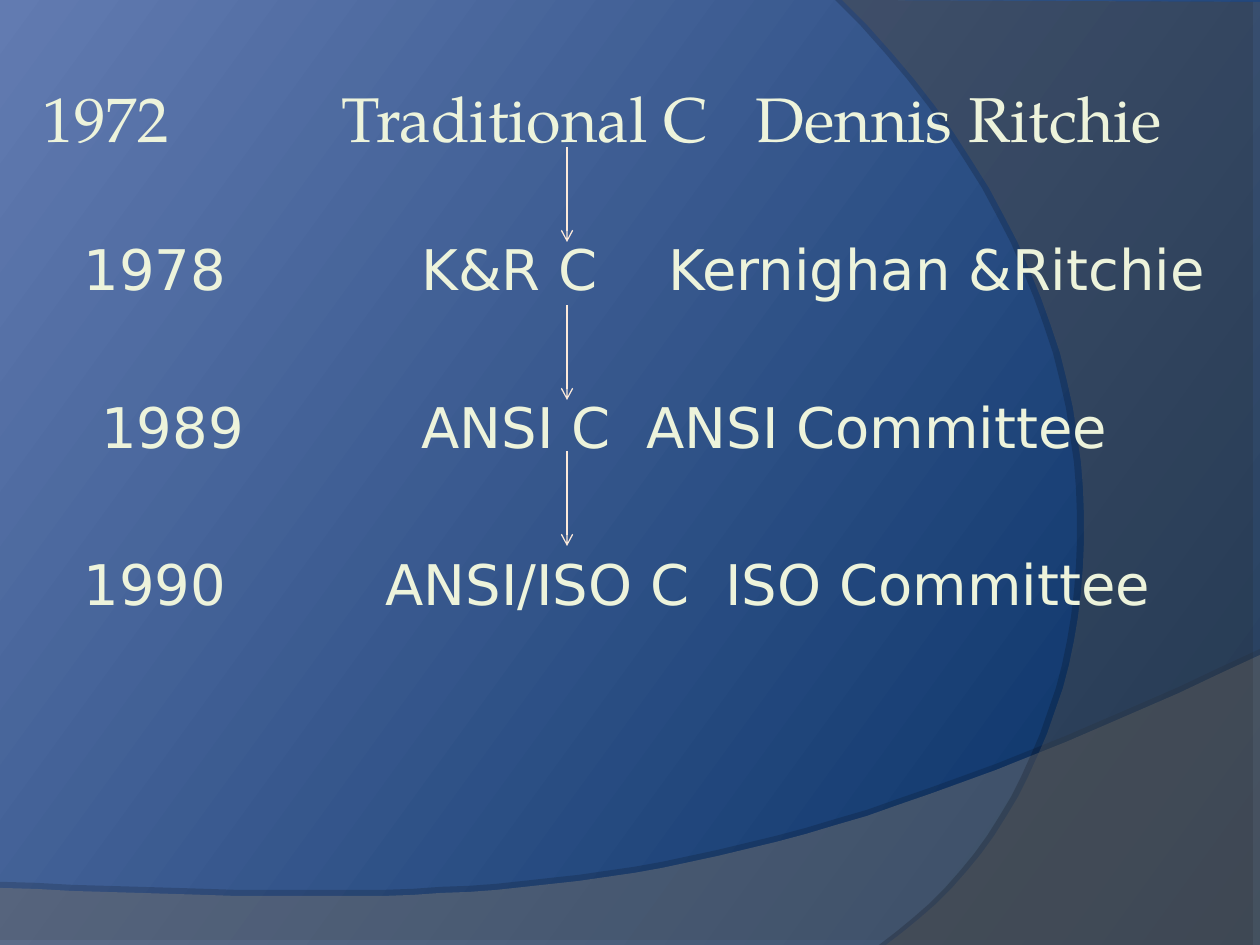
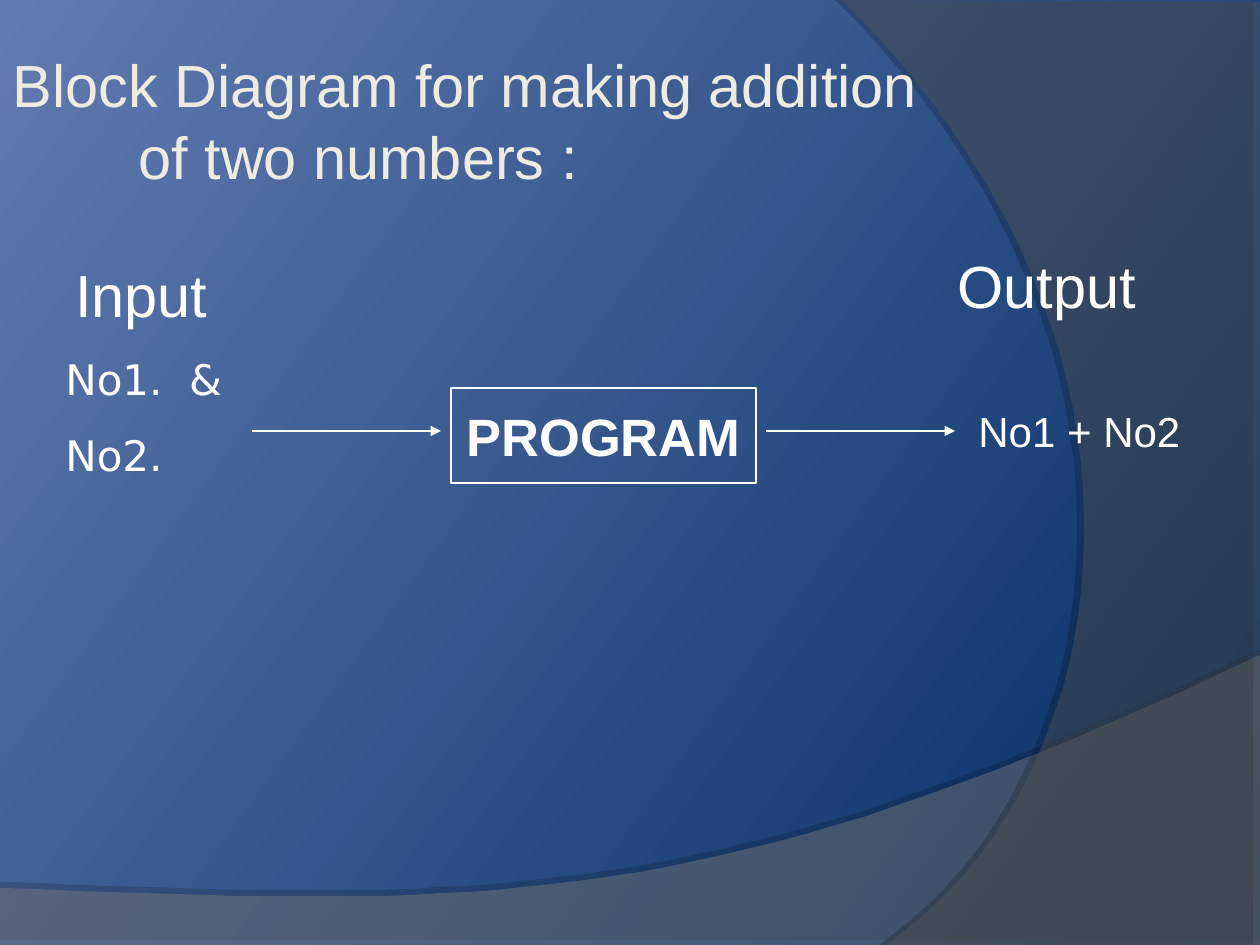
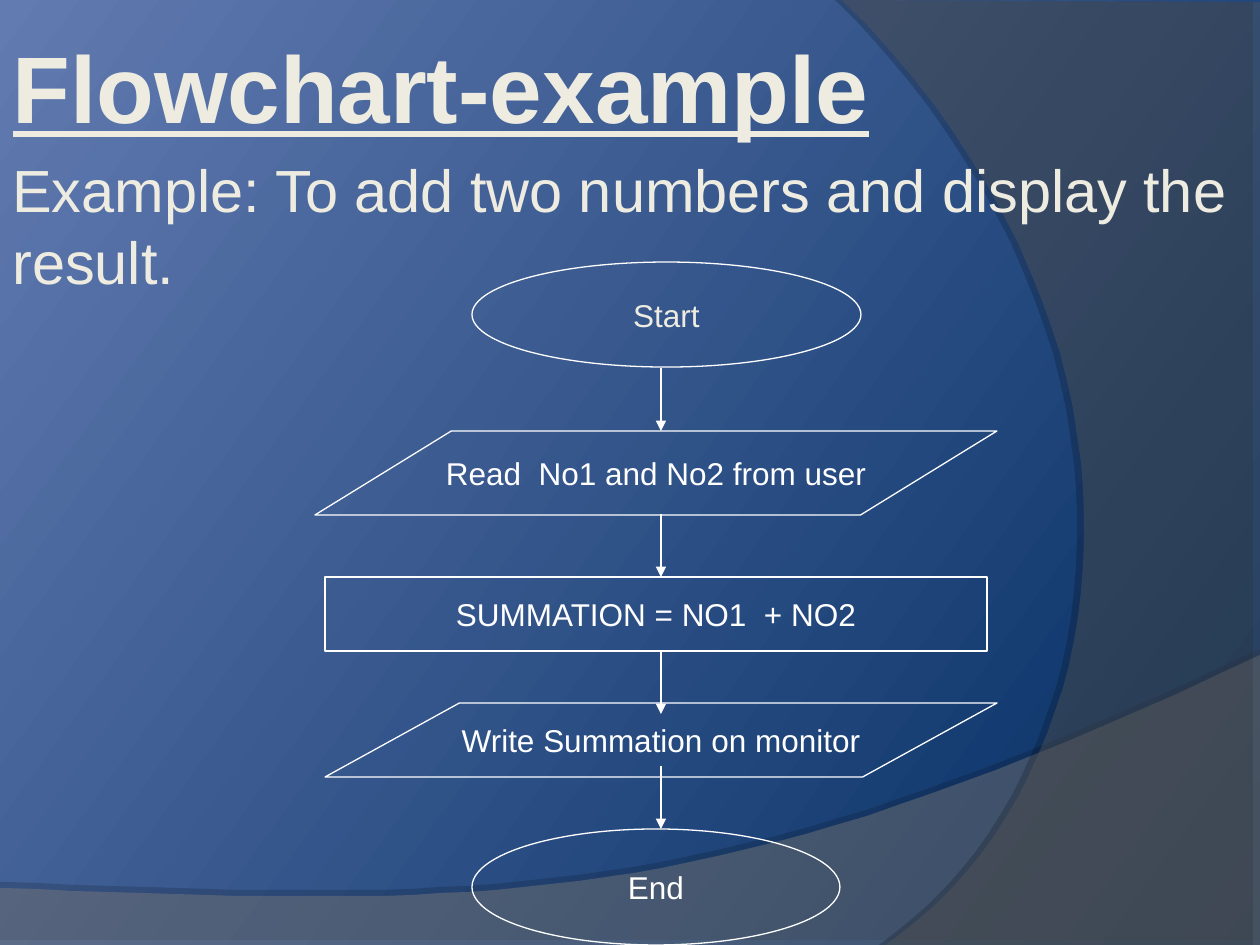
from lxml import etree
from pptx import Presentation
from pptx import util as u
from pptx.dml.color import RGBColor
from pptx.enum import shapes, text
from pptx.oxml.ns import qn

PX = 914400 / 126
WIDTH, HEIGHT = 1260, 945
COLOURS = {
    "night": "012C61", "sky": "627BB1", "low_wave": "7C7C7C", "side_wave": "595959",
    "shadow": "000000", "lime": "EDF3DB", "cream": "EEECE1", "white": "FFFFFF",
    "peach": "FDEADA",
}
TIMELINE_TITLE = {"name": "TeX Gyre Pagella", "size": 36, "colour": "lime"}
TIMELINE_ROW = {"name": "DejaVu Sans", "size": 32, "colour": "lime"}
HEADING = {"name": "Arial", "size": 34, "colour": "cream"}
BIG_HEADING = {"name": "Arial", "size": 54, "colour": "cream", "bold": True, "underline": True}
LABEL = {"name": "Arial", "size": 34, "colour": "white"}
INPUT_VALUES = {"name": "DejaVu Sans", "size": 24, "colour": "white"}
OUTPUT_VALUES = {"name": "Arial", "size": 24, "colour": "white"}
PROGRAM = {"name": "Arial", "size": 30, "colour": "white", "bold": True}
STEP = {"name": "Arial", "size": 18, "colour": "white"}
START = {**STEP, "colour": "cream"}


def px(length):
    return u.Emu(round(length * PX))


def rgb(name):
    return RGBColor.from_string(COLOURS[name])


def add_xml(parent, tag, **attributes):
    child = etree.SubElement(parent, qn(tag))
    for key, value in attributes.items():
        child.set(key, str(value))
    return child


def place(shape, area):
    for name, length in zip(("left", "top", "width", "height"), area):
        setattr(shape, name, px(length))


def write(shape, lines, style, align=text.PP_ALIGN.LEFT, anchor=text.MSO_ANCHOR.TOP,
          wrap=True, **spacing):
    """Fill a shape with one paragraph per line; spacing holds paragraph attributes."""
    frame = shape.text_frame
    frame.auto_size = text.MSO_AUTO_SIZE.NONE
    frame.word_wrap = wrap
    frame.vertical_anchor = anchor
    for index, line in enumerate(lines):
        para = frame.paragraphs[0] if index == 0 else frame.add_paragraph()
        for name, value in {"alignment": align, **spacing}.items():
            setattr(para, name, value)
        span = para.add_run()
        span.text = line
        for name, value in style.items():
            if name == "colour":
                span.font.color.rgb = rgb(value)
            else:
                setattr(span.font, name, u.Pt(value) if name == "size" else value)
    return frame


def add_title(page, area, lines, style, **options):
    place(page.shapes.title, area)
    return write(page.shapes.title, lines, style, **options)


def add_text(page, area, lines, style, **options):
    box = page.shapes.add_textbox(*map(px, area))
    return write(box, lines, style, **options)


def add_box(page, kind, area, label, style):
    """Draw an outlined, unfilled shape with a centred label."""
    box = page.shapes.add_shape(kind, *map(px, area))
    box.shadow.inherit = False
    box.fill.background()
    box.line.color.rgb = rgb("white")
    box.line.width = u.Pt(0.75)
    write(box, [label], style, text.PP_ALIGN.CENTER, text.MSO_ANCHOR.MIDDLE, wrap=False)


def add_arrow(page, start, end, colour="white", head="triangle"):
    arrow = page.shapes.add_connector(shapes.MSO_CONNECTOR.STRAIGHT, *map(px, start + end))
    arrow.line.color.rgb = rgb(colour)
    arrow.line.width = u.Pt(0.75)
    properties = arrow.element.spPr
    add_xml(properties.find(qn("a:ln")), "a:tailEnd", type=head)
    add_xml(properties, "a:effectLst")


def set_columns(frame, offsets):
    para = frame.paragraphs[0]
    tabs = add_xml(para._p.get_or_add_pPr(), "a:tabLst")
    for offset in offsets:
        add_xml(tabs, "a:tab", pos=px(offset), algn="l")


def curve(start, first, second, end, steps=40):
    """Return points along a cubic Bezier curve, without its start."""
    points = []
    for step in range(1, steps + 1):
        t = step / steps
        weights = ((1 - t) ** 3, 3 * t * (1 - t) ** 2, 3 * t * t * (1 - t), t ** 3)
        points.append(tuple(sum(w * p[axis] for w, p in zip(weights, (start, first, second, end)))
                            for axis in (0, 1)))
    return points


def add_wave(deck, page, points, colour, opacity, shadow_opacity, distance, direction):
    """Draw a translucent wave with a hard shadow and move it to the master."""
    builder = page.shapes.build_freeform(*points[0], scale=PX)
    builder.add_line_segments(points[1:], close=True)
    wave = builder.convert_to_shape()
    wave.fill.solid()
    wave.fill.fore_color.rgb = rgb(colour)
    wave.line.fill.background()
    wave.shadow.inherit = False
    properties = wave.element.spPr
    fill = properties.find(qn("a:solidFill")).find(qn("a:srgbClr"))
    add_xml(fill, "a:alpha", val=opacity * 1000)
    shadow = add_xml(properties.find(qn("a:effectLst")), "a:outerShdw", blurRad=0,
                     dist=u.Pt(distance), dir=direction * 60000, algn="ctr", rotWithShape=0)
    tint = add_xml(shadow, "a:srgbClr", val=COLOURS["shadow"])
    add_xml(tint, "a:alpha", val=shadow_opacity * 1000)
    tree = deck.slide_master.shapes.element
    wave.element.nvSpPr.cNvPr.set("id", str(100 + len(tree)))
    tree.append(wave.element)


def dress_master(deck, page):
    fill = deck.slide_master.background.fill
    fill.gradient()
    fill.gradient_angle = 144
    for stop, colour in zip(fill.gradient_stops, ("night", "sky")):
        stop.color.rgb = rgb(colour)
    low = [(0, 888), (0, 946), (WIDTH, 946), (WIDTH, 655)]
    low += curve(low[-1], (704, 919), (493, 906), low[0])
    add_wave(deck, page, low, "low_wave", 45, 35, 3.5, 270)
    side = [(WIDTH, 2), (WIDTH, HEIGHT), (886, HEIGHT)]
    side += curve(side[-1], (1123, 780), (1193, 347), (842, 0))
    add_wave(deck, page, side, "side_wave", 40, 45, 4, 180)


def build_timeline(page):
    inset = 13
    rows = [
        (42, 119, (43, 342, 756), ("1972", "Traditional C", "Dennis Ritchie")),
        (252, 53, (84, 422, 669), ("1978", "K&R C", "Kernighan &Ritchie")),
        (410, 53, (102, 422, 647), ("1989", "ANSI C", "ANSI Committee")),
        (567, 53, (84, 386, 726), ("1990", "ANSI/ISO C", "ISO Committee")),
    ]
    for index, (top, height, columns, cells) in enumerate(rows):
        left = columns[0] - inset
        area = (left, top, WIDTH - left, height)
        line = ["\t".join(cells)]
        if index == 0:
            frame = add_title(page, area, line, TIMELINE_TITLE, anchor=text.MSO_ANCHOR.BOTTOM)
        else:
            frame = add_text(page, area, line, TIMELINE_ROW, line_spacing=0.6,
                             space_before=u.Pt(20))
        set_columns(frame, [column - columns[0] for column in columns[1:]])
    for top in (147, 305, 451):
        add_arrow(page, (567, top), (567, top + 95), "peach", "arrow")


def build_block_diagram(page):
    frame = add_title(page, (0, 42, WIDTH, 156),
                      ["Block Diagram for making addition", "of two numbers :"], HEADING)
    frame.paragraphs[1]._p.get_or_add_pPr().set("marL", str(px(126)))
    labels = [
        ((63, 252, 336, 84), ["Input"], LABEL, 21.3),
        ((945, 243, 315, 84), ["Output"], LABEL, 21.3),
        ((53, 347, 231, 140), ["No1.  &", "No2."], INPUT_VALUES, 15),
        ((966, 399, 284, 63), ["No1 + No2"], OUTPUT_VALUES, 15),
    ]
    for area, lines, style, gap in labels:
        add_text(page, area, lines, style, space_before=u.Pt(gap))
    add_box(page, shapes.MSO_SHAPE.RECTANGLE, (451, 388, 305, 95), "PROGRAM", PROGRAM)
    for left in (252, 766):
        add_arrow(page, (left, 431), (left + 189, 431))


def build_flowchart(page):
    add_title(page, (0, 23, 945, 126), ["Flowchart-example"], BIG_HEADING)
    add_text(page, (0, 147, WIDTH, 156),
             ["Example: To add two numbers and display the result."], HEADING)
    kinds = shapes.MSO_SHAPE
    steps = [
        (kinds.OVAL, (472, 262, 389, 105), "Start", START),
        (kinds.FLOWCHART_DATA, (315, 431, 682, 84), "Read  No1 and No2 from user", STEP),
        (kinds.RECTANGLE, (325, 577, 662, 74), "SUMMATION = NO1  + NO2", STEP),
        (kinds.FLOWCHART_DATA, (325, 703, 672, 74), "Write Summation on monitor", STEP),
        (kinds.OVAL, (472, 829, 368, 116), "End", STEP),
    ]
    for step in steps:
        add_box(page, *step)
    for top in (368, 514, 651, 766):
        add_arrow(page, (661, top), (661, top + 63))


def main():
    deck = Presentation()
    deck.slide_width, deck.slide_height = px(WIDTH), px(HEIGHT)
    title_only = deck.slide_layouts[5]
    builders = (build_timeline, build_block_diagram, build_flowchart)
    pages = [deck.slides.add_slide(title_only) for _ in builders]
    dress_master(deck, pages[0])
    for build, page in zip(builders, pages):
        build(page)
    deck.save("out.pptx")


if __name__ == "__main__":
    main()
